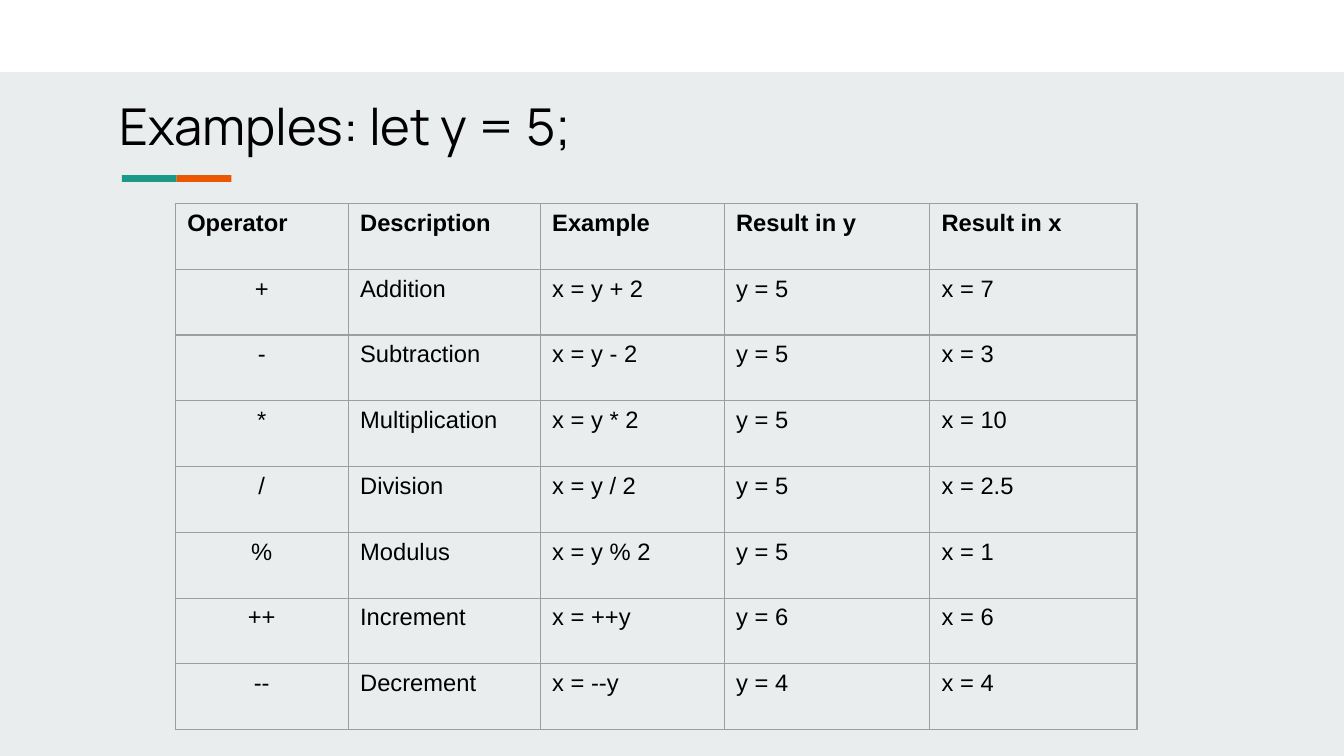
import pptx
import pptx.dml.color
import pptx.enum.shapes
import pptx.enum.text
import pptx.oxml
import pptx.oxml.ns
import pptx.util

Cm = pptx.util.Cm
Pt = pptx.util.Pt
ALIGN = pptx.enum.text.PP_ALIGN

COLORS = {
    "background": "E9EDEE",
    "band": "FFFFFF",
    "teal": "1A9988",
    "orange": "EB5600",
    "text": "000000",
    "border": "9E9E9E",
}

OPERATORS = [
    ("Operator", "Description", "Example", "Result in y", "Result in x"),
    ("+", "Addition", "x = y + 2", "y = 5", "x = 7"),
    ("-", "Subtraction", "x = y - 2", "y = 5", "x = 3"),
    ("*", "Multiplication", "x = y * 2", "y = 5", "x = 10"),
    ("/", "Division", "x = y / 2", "y = 5", "x = 2.5"),
    ("%", "Modulus", "x = y % 2", "y = 5", "x = 1"),
    ("++", "Increment", "x = ++y", "y = 6", "x = 6"),
    ("--", "Decrement", "x = --y", "y = 4", "x = 4"),
]
COLUMN_WIDTHS = [3.6, 4, 3.83, 4.28, 4.32]
ROW_HEIGHT = 1.37


def rgb(name):
    return pptx.dml.color.RGBColor.from_string(COLORS[name])


def write(tf, text, font="Arial", size=14, bold=False, align=ALIGN.LEFT):
    p = tf.paragraphs[0]
    p.alignment = align
    r = p.add_run()
    r.text = text
    r.font.name = font
    r.font.size = Pt(size)
    r.font.bold = bold
    r.font.color.rgb = rgb("text")


class Deck:
    def __init__(self, width, height):
        self.prs = pptx.Presentation()
        self.prs.slide_width = Cm(width)
        self.prs.slide_height = Cm(height)
        self.s = self.prs.slides.add_slide(self.prs.slide_layouts[6])
        fill = self.s.background.fill
        fill.solid()
        fill.fore_color.rgb = rgb("background")

    def rect(self, x, y, w, h, color):
        sp = self.s.shapes.add_shape(
            pptx.enum.shapes.MSO_SHAPE.RECTANGLE, Cm(x), Cm(y), Cm(w), Cm(h))
        sp.shadow.inherit = False
        sp.fill.solid()
        sp.fill.fore_color.rgb = rgb(color)
        sp.line.fill.background()

    def title(self, x, y, w, h, text):
        tf = self.s.shapes.add_textbox(Cm(x), Cm(y), Cm(w), Cm(h)).text_frame
        tf.word_wrap = True
        tf.vertical_anchor = pptx.enum.text.MSO_ANCHOR.TOP
        tf.margin_left = tf.margin_right = Cm(0.25)
        tf.margin_top = tf.margin_bottom = Cm(0.25)
        write(tf, text, font="Manrope", size=30)

    def border(self, cell):
        tc_pr = cell._tc.get_or_add_tcPr()
        for i, side in enumerate(("lnL", "lnR", "lnT", "lnB")):
            tc_pr.insert(i, pptx.oxml.parse_xml(
                f'<a:{side} {pptx.oxml.ns.nsdecls("a")} w="{Pt(0.75)}">'
                f'<a:solidFill><a:srgbClr val="{COLORS["border"]}"/></a:solidFill>'
                f'</a:{side}>'))

    def table(self, x, y, widths, row_height, rows):
        table = self.s.shapes.add_table(
            len(rows), len(widths), Cm(x), Cm(y),
            Cm(sum(widths)), Cm(row_height * len(rows))).table
        table.first_row = table.horz_banding = False
        for column, width in zip(table.columns, widths):
            column.width = Cm(width)
        for i, row in enumerate(rows):
            table.rows[i].height = Cm(row_height)
            for j, text in enumerate(row):
                cell = table.cell(i, j)
                cell.fill.background()
                cell.margin_left = cell.margin_right = Cm(0.25)
                cell.margin_top = cell.margin_bottom = Cm(0.13)
                self.border(cell)
                centred = i > 0 and j == 0
                write(cell.text_frame, text, bold=i == 0,
                      align=ALIGN.CENTER if centred else ALIGN.LEFT)


def main():
    deck = Deck(27.99, 15.75)
    deck.rect(0, 0, 27.99, 1.5, "band")
    for i, color in enumerate(("teal", "orange")):
        deck.rect(2.54 + 1.14 * i, 3.65, 1.14, 0.14, color)
    deck.table(3.65, 4.24, COLUMN_WIDTHS, ROW_HEIGHT, OPERATORS)
    deck.title(2.24, 1.73, 23.55, 3.25, "Examples: let y = 5;")
    deck.prs.save("out.pptx")


if __name__ == "__main__":
    main()
